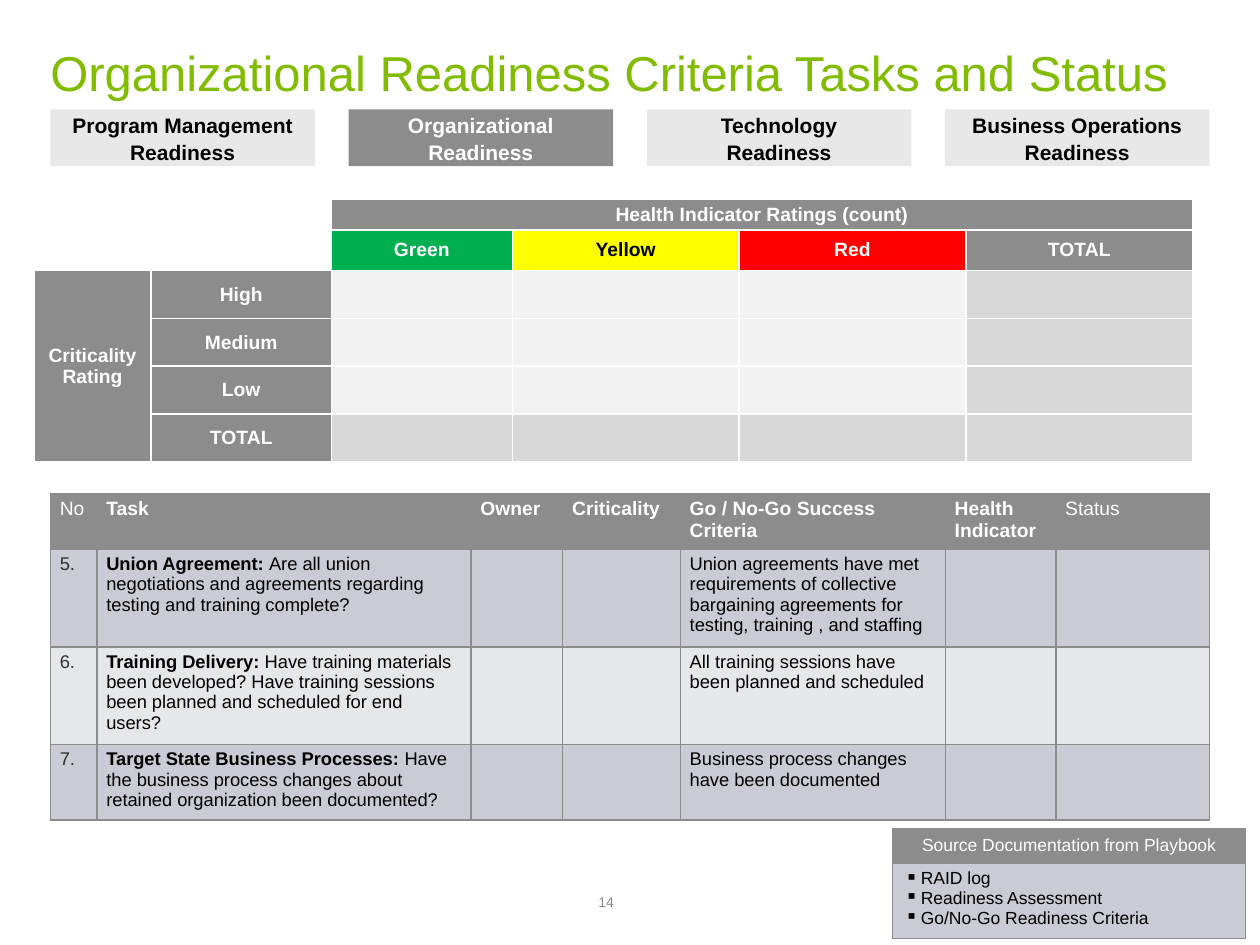
"""Build the organizational readiness criteria status slide."""
from dataclasses import dataclass

from lxml import etree
from pptx import Presentation
from pptx.dml.color import RGBColor
from pptx.enum.shapes import MSO_SHAPE
from pptx.enum.text import MSO_ANCHOR, PP_ALIGN
from pptx.oxml.ns import qn
from pptx.util import Pt

RECT = MSO_SHAPE.RECTANGLE
TOP, MIDDLE, BOTTOM = MSO_ANCHOR.TOP, MSO_ANCHOR.MIDDLE, MSO_ANCHOR.BOTTOM
LEFT, CENTER = PP_ALIGN.LEFT, PP_ALIGN.CENTER

FONT = "Arial"
BLACK = RGBColor(0x00, 0x00, 0x00)
WHITE = RGBColor(0xFF, 0xFF, 0xFF)
LIME = RGBColor(0x81, 0xBC, 0x00)
GRAY = RGBColor(0x8C, 0x8C, 0x8C)
CHARCOAL = RGBColor(0x31, 0x31, 0x31)
TAB_GRAY = RGBColor(0xE8, 0xE8, 0xE8)
GREEN = RGBColor(0x00, 0xB0, 0x50)
YELLOW = RGBColor(0xFF, 0xFF, 0x00)
RED = RGBColor(0xFF, 0x00, 0x00)
COUNT_FILL = RGBColor(0xF2, 0xF2, 0xF2)
TOTAL_FILL = RGBColor(0xD8, 0xD8, 0xD8)
BAND_DARK = RGBColor(0xCA, 0xCB, 0xD5)
BAND_LIGHT = RGBColor(0xE6, 0xE7, 0xEB)


@dataclass(frozen=True)
class Style:
    size: float
    color: RGBColor = BLACK
    bold: bool = False
    align: PP_ALIGN = LEFT
    spacing: float = 1.0


@dataclass(frozen=True)
class Cell:
    text: str = ""
    fill: RGBColor | None = None
    style: Style = Style(10.5)
    lead: str = ""
    bullet: str = ""


@dataclass(frozen=True)
class Grid:
    left: float
    top: float
    cols: list[float]
    rows: list[float]
    cells: list[list[Cell]]
    border: RGBColor
    inset: tuple[float, float]
    anchor: MSO_ANCHOR = TOP
    merges: tuple[tuple[int, int, int, int], ...] = ()


@dataclass(frozen=True)
class Tab:
    text: str
    fill: RGBColor = TAB_GRAY
    color: RGBColor = BLACK


HEAD = Style(11, WHITE, True, CENTER)
TASK_HEAD = Style(11, WHITE, True)
PLAIN_HEAD = Style(11, WHITE)
TABS = [
    Tab("Program Management Readiness"),
    Tab("Organizational Readiness", GRAY, WHITE),
    Tab("Technology\nReadiness"),
    Tab("Business Operations Readiness"),
]
TASKS = [
    ("5.", "Union Agreement: ",
     "Are all union negotiations and agreements regarding testing and training complete?",
     "Union agreements have met requirements of collective bargaining agreements "
     "for testing, training , and staffing"),
    ("6.", "Training Delivery: ",
     "Have training materials been developed? Have training sessions been planned "
     "and scheduled for end users?",
     "All training sessions have been planned and scheduled"),
    ("7.", "Target State Business Processes: ",
     "Have the business process changes about retained organization been documented?",
     "Business process changes have been documented"),
]


def style_paragraphs(tf, style: Style) -> None:
    for p in tf.paragraphs:
        p.alignment = style.align
        p.line_spacing = style.spacing
        p.font.name = FONT
        p.font.size = Pt(style.size)
        p.font.color.rgb = style.color
        p.font.bold = style.bold


def set_insets(tf, x: float, y: float) -> None:
    tf.margin_left = tf.margin_right = Pt(x)
    tf.margin_top = tf.margin_bottom = Pt(y)


def add_text(s, box: tuple[float, ...], text: str, style: Style, anchor: MSO_ANCHOR) -> None:
    tf = s.shapes.add_textbox(*map(Pt, box)).text_frame
    tf.word_wrap = True
    tf.vertical_anchor = anchor
    set_insets(tf, 0, 0)
    tf.text = text
    style_paragraphs(tf, style)


def add_tab(s, tab: Tab, left: float) -> None:
    sp = s.shapes.add_shape(RECT, Pt(left), Pt(62.5), Pt(151.2), Pt(32.4))
    sp.shadow.inherit = False
    sp.fill.solid()
    sp.fill.fore_color.rgb = tab.fill
    sp.line.fill.background()
    tf = sp.text_frame
    tf.word_wrap = True
    tf.vertical_anchor = MIDDLE
    set_insets(tf, 7.2, 7.2)
    tf.text = tab.text
    style_paragraphs(tf, Style(12, tab.color, True, CENTER, 1.06))


def add_bullet(p, char: str) -> None:
    pPr = p._p.get_or_add_pPr()
    pPr.set("marL", str(Pt(9)))
    pPr.set("indent", str(-Pt(9)))
    bullet = etree.Element(qn("a:buChar"), char=char)
    spacing = pPr.find(qn("a:lnSpc"))
    spacing.addnext(bullet)


def set_borders(cell, color: RGBColor) -> None:
    tcPr = cell._tc.get_or_add_tcPr()
    for side in "LRTB":
        ln = etree.SubElement(tcPr, qn(f"a:ln{side}"), w=str(Pt(1)))
        fill = etree.SubElement(ln, qn("a:solidFill"))
        etree.SubElement(fill, qn("a:srgbClr"), val=str(color))


def fill_cell(target, cell: Cell, grid: Grid) -> None:
    set_borders(target, grid.border)
    if cell.fill is None:
        target.fill.background()
    else:
        target.fill.solid()
        target.fill.fore_color.rgb = cell.fill
    set_insets(target, *grid.inset)
    target.vertical_anchor = grid.anchor
    tf = target.text_frame
    tf.text = cell.lead or cell.text
    style_paragraphs(tf, cell.style)
    if cell.lead:
        p = tf.paragraphs[0]
        p.runs[0].font.bold = True
        p.add_run().text = cell.text
    if cell.bullet:
        for p in tf.paragraphs:
            add_bullet(p, cell.bullet)


def add_grid(s, grid: Grid) -> None:
    table = s.shapes.add_table(len(grid.rows), len(grid.cols), Pt(grid.left), Pt(grid.top),
                               Pt(sum(grid.cols)), Pt(sum(grid.rows))).table
    table.first_row = table.horz_banding = False
    for col, width in zip(table.columns, grid.cols):
        col.width = Pt(width)
    for row, height in zip(table.rows, grid.rows):
        row.height = Pt(height)
    for r, cells in enumerate(grid.cells):
        for c, cell in enumerate(cells):
            fill_cell(table.cell(r, c), cell, grid)
    for r1, c1, r2, c2 in grid.merges:
        table.cell(r1, c1).merge(table.cell(r2, c2))


def ratings_grid() -> Grid:
    def head(text: str = "", fill: RGBColor = GRAY) -> Cell:
        return Cell(text, fill, HEAD)

    yellow = Cell("Yellow", YELLOW, Style(11, BLACK, True, CENTER))
    count, total = Cell(fill=COUNT_FILL), Cell(fill=TOTAL_FILL)
    cells = [
        [Cell(), Cell(), head("Health Indicator Ratings (count)"), head(), head(), head()],
        [Cell(), Cell(), head("Green", GREEN), yellow, head("Red", RED), head("TOTAL")],
    ]
    for label, side in (("High", "Criticality Rating"), ("Medium", ""), ("Low", ""), ("TOTAL", "")):
        body = total if label == "TOTAL" else count
        cells.append([head(side), head(label), body, body, body, total])
    return Grid(19.4, 114, [67, 103, 103.4, 129.6, 129.6, 129.6], [17.3, 23.4] + [27.3] * 4,
                cells, WHITE, (7.2, 0), MIDDLE, ((0, 2, 0, 5), (2, 0, 5, 0)))


def tasks_grid() -> Grid:
    titles = ["No", "Task", "Owner", "Criticality", "Go / No-Go Success Criteria",
              "Health Indicator", "Status"]
    cells = [[Cell(t, GRAY, PLAIN_HEAD if t in ("No", "Status") else TASK_HEAD) for t in titles]]
    for i, (number, lead, question, criteria) in enumerate(TASKS):
        fill = BAND_LIGHT if i % 2 else BAND_DARK
        blank = Cell(fill=fill)
        cells.append([Cell(number, fill, Style(10.5, CHARCOAL)), Cell(question, fill, lead=lead),
                      blank, blank, Cell(criteria, fill), blank, blank])
    return Grid(28.8, 282, [26.6, 213.8, 52.4, 67.2, 151.4, 63.2, 87.8], [30.2, 52, 52, 40.2],
                cells, GRAY, (5.4, 2.7))


def sources_grid() -> Grid:
    items = "RAID log\nReadiness Assessment\nGo/No-Go Readiness Criteria"
    cells = [[Cell("Source Documentation from Playbook", GRAY, Style(10, WHITE, align=CENTER))],
             [Cell(items, BAND_DARK, Style(10), bullet="▪")]]
    return Grid(510, 473.8, [201.6], [18.4, 41.2], cells, GRAY, (7.2, 3.6))


def main() -> None:
    prs = Presentation()
    prs.slide_width, prs.slide_height = Pt(720), Pt(540)
    s = prs.slides.add_slide(prs.slide_layouts[6])
    add_text(s, (342, 510.5, 36, 9.4), "14", Style(8, GRAY), BOTTOM)
    add_text(s, (28.8, 23, 662.4, 36.8), "Organizational Readiness Criteria Tasks and Status",
             Style(28, LIME), MIDDLE)
    add_grid(s, ratings_grid())
    for i, tab in enumerate(TABS):
        add_tab(s, tab, 28.8 + i * 170.4)
    add_grid(s, tasks_grid())
    add_grid(s, sources_grid())
    prs.save("out.pptx")


if __name__ == "__main__":
    main()
